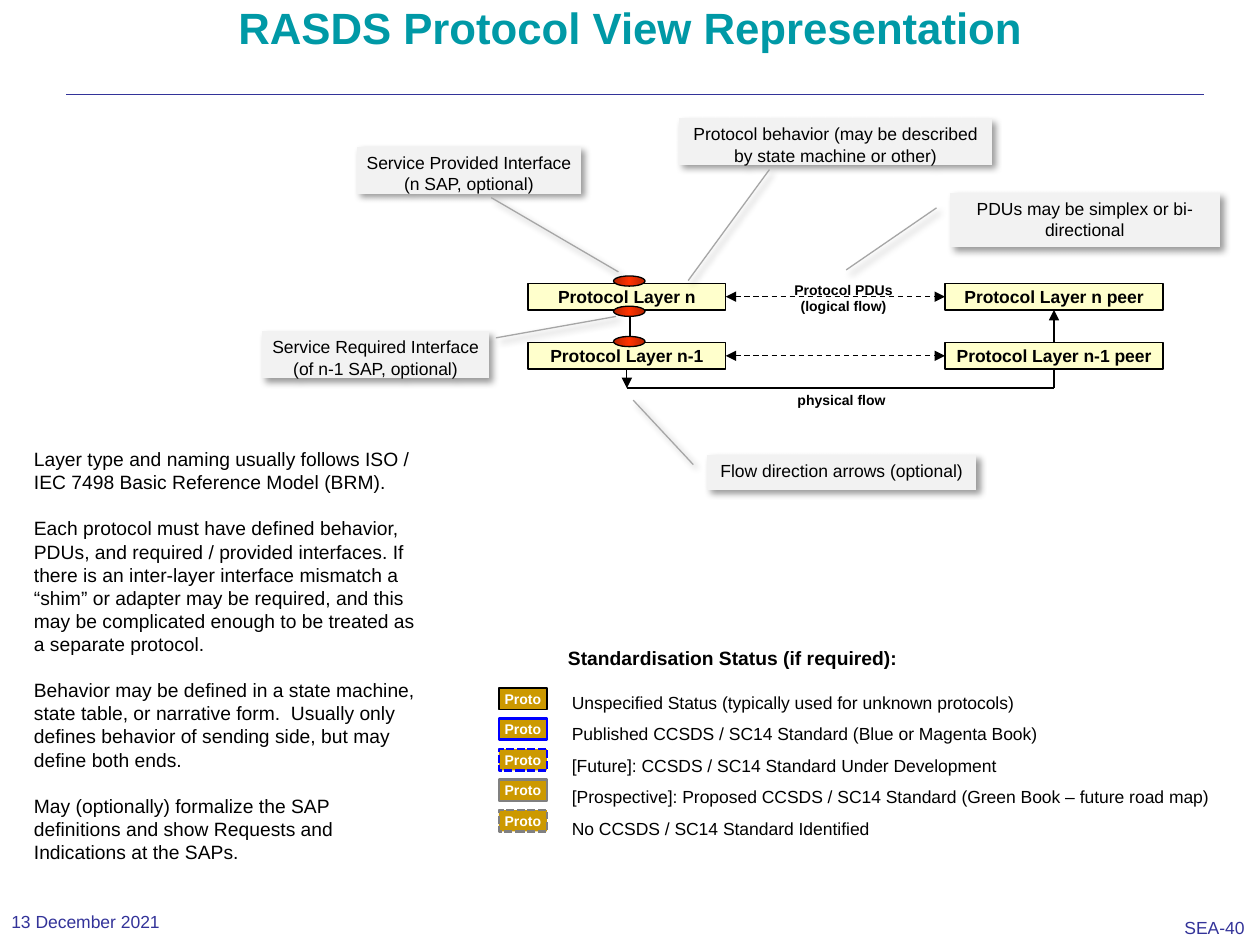
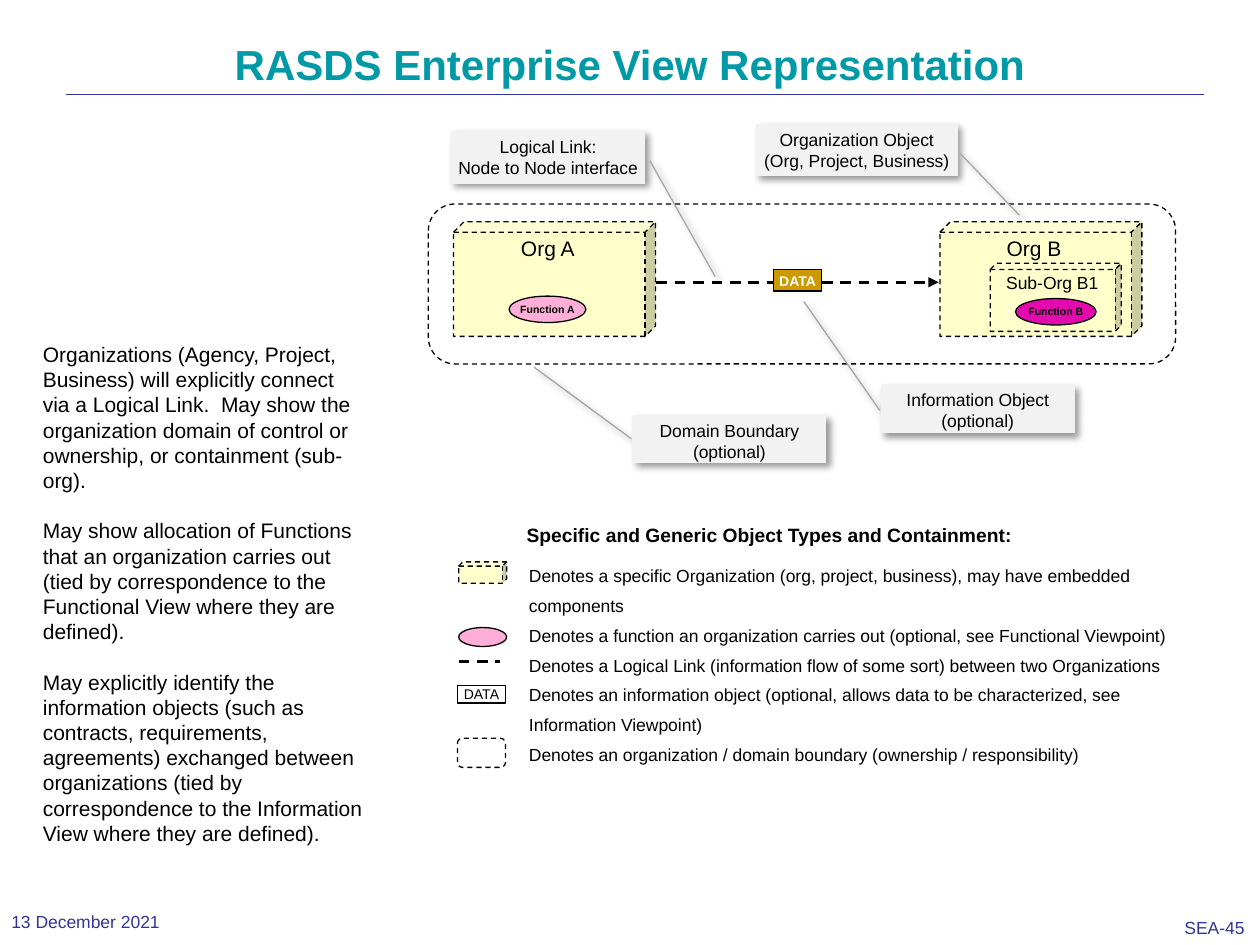
"""Build two slides on the RASDS protocol and enterprise views."""
from copy import deepcopy

from lxml.etree import SubElement
from pptx import Presentation
from pptx.dml.color import RGBColor
from pptx.enum.dml import MSO_LINE as DASH
from pptx.enum.shapes import MSO_CONNECTOR, MSO_SHAPE as SHAPE
from pptx.enum.text import MSO_ANCHOR as ANCHOR, MSO_AUTO_SIZE as AUTO, PP_ALIGN as ALIGN
from pptx.oxml.ns import qn
from pptx.util import Pt

FONT = "Arial"
COLORS = {
    "title": "0099A6", "footer": "333399", "black": "000000", "white": "FFFFFF",
    "cream": "FFFFCC", "gold": "CC9900", "blue": "0000FF", "gray": "808080",
    "note": "F2F2F2", "pointer": "A6A6A6", "red": "FF3300", "dark_red": "B62400",
    "pink": "FFAED7", "magenta": "E30BAD",
}
TAG_SIZE = (27.4, 12.2)
DATE = "13 December 2021"


def color(name):
    return RGBColor.from_string(COLORS[name])


def points(values):
    return [Pt(value) for value in values]


def write(shape, text, size, ink="black", bold=False, align=ALIGN.LEFT,
          spacing=None, gap=0, anchor=ANCHOR.TOP, insets=(7.2, 3.6),
          wrap=True, grow=False):
    frame = shape.text_frame
    frame.text = text
    frame.word_wrap = wrap
    frame.auto_size = AUTO.SHAPE_TO_FIT_TEXT if grow else AUTO.NONE
    frame.vertical_anchor = anchor
    frame.margin_left = frame.margin_right = Pt(insets[0])
    frame.margin_top = frame.margin_bottom = Pt(insets[1])
    for index, paragraph in enumerate(frame.paragraphs):
        paragraph.alignment = align
        paragraph.space_before = Pt(gap if index else 0)
        if spacing:
            paragraph.line_spacing = spacing
        for run in paragraph.runs:
            run.font.name = FONT
            run.font.size = Pt(size)
            run.font.bold = bold
            run.font.color.rgb = color(ink)


def add_label(slide, box, text, size, wrap=False, grow=True, **style):
    label = slide.shapes.add_textbox(*points(box))
    write(label, text, size, wrap=wrap, grow=grow, **style)


def style_line(line, ink="black", width=0.75, dash=None):
    line.color.rgb = color(ink)
    line.width = Pt(width)
    if dash:
        line.dash_style = dash


def add_figure(slide, kind, box, fill=None, ink="black", width=0.75, dash=None, adjust=()):
    shape = slide.shapes.add_shape(kind, *points(box))
    shape.shadow.inherit = False
    if fill:
        shape.fill.solid()
        shape.fill.fore_color.rgb = color(fill)
    else:
        shape.fill.background()
    style_line(shape.line, ink, width, dash)
    for index, value in enumerate(adjust):
        shape.adjustments[index] = value
    return shape


def add_tag(slide, left, top, text, **outline):
    tag = add_figure(slide, SHAPE.RECTANGLE, (left, top, *TAG_SIZE), "gold", **outline)
    write(tag, text, 8, "white", True, ALIGN.CENTER, insets=(1.4, 1.4), grow=True)


def add_layer(slide, left, top, width, text):
    layer = add_figure(slide, SHAPE.RECTANGLE, (left, top, width, 15.1), "cream")
    write(layer, text, 10, bold=True, align=ALIGN.CENTER, insets=(1.4, 1.4), grow=True)
    return layer


def add_cube(slide, box, depth=0.091):
    add_figure(slide, SHAPE.CUBE, box, "cream", dash=DASH.DASH, adjust=[depth])


def add_function(slide, box, fill, text=""):
    function = add_figure(slide, SHAPE.OVAL, box, fill)
    if text:
        write(function, text, 6, bold=True, align=ALIGN.CENTER,
              anchor=ANCHOR.MIDDLE, wrap=False)


def add_access_point(slide, left, top):
    oval = add_figure(slide, SHAPE.OVAL, (left, top, 18, 5.8))
    fill = oval.fill
    fill.gradient()
    fill.gradient_angle = 0
    stop_list = oval.element.spPr.find(".//" + qn("a:gsLst"))
    stop_list.append(deepcopy(stop_list[0]))
    stops = zip(fill.gradient_stops, (0, 0.5, 1), ("dark_red", "red", "dark_red"))
    for stop, position, shade in stops:
        stop.position = position
        stop.color.rgb = color(shade)


def add_callout(slide, box, text, pointer):
    callout = add_figure(slide, SHAPE.LINE_CALLOUT_1_NO_BORDER, box, "note", "pointer",
                         adjust=pointer)
    properties = callout.element.spPr
    properties.find(qn("a:xfrm")).set("flipH", "1")
    shadow = SubElement(properties.find(qn("a:effectLst")), qn("a:outerShdw"),
                        blurRad=str(Pt(4)), dist=str(Pt(3)), dir="2700000",
                        algn="tl", rotWithShape="0")
    shade = SubElement(shadow, qn("a:srgbClr"), val=COLORS["black"])
    SubElement(shade, qn("a:alpha"), val="40000")
    write(callout, text, 10, align=ALIGN.CENTER, insets=(2.9, 2.9))


def add_line(slide, start, end, ink="black", width=0.75, dash=None, head=False, tail=False):
    line = slide.shapes.add_connector(MSO_CONNECTOR.STRAIGHT, *points((*start, *end)))
    style_line(line.line, ink, width, dash)
    outline = line.line._get_or_add_ln()
    for name, wanted in (("a:headEnd", head), ("a:tailEnd", tail)):
        if wanted:
            SubElement(outline, qn(name), type="triangle")
    SubElement(line.element.spPr, qn("a:effectLst"))
    return line


def place(shape, box):
    shape.left, shape.top, shape.width, shape.height = points(box)


def add_slide(presentation, title, title_top, title_size, number):
    slide = presentation.slides.add_slide(presentation.slide_layouts[1])
    place(slide.shapes.title, (36, title_top, 648, 90))
    write(slide.shapes.title, title, title_size, "title", True, ALIGN.CENTER, spacing=0.9)
    add_line(slide, (38, 54), (688, 54), "footer", 0.13)
    add_label(slide, (670.3, 521.3, 49, 18.7), number, 10, ink="footer", insets=(6.5, 2.9))
    add_label(slide, (0, 516.2, 136, 20.9), DATE, 10, ink="footer", grow=False,
              anchor=ANCHOR.MIDDLE, insets=(6.5, 3.6))
    return slide


def fill_body(slide, box, paragraphs, size):
    body = slide.placeholders[1]
    place(body, box)
    body.text_frame.text = "\n".join(paragraphs)
    write(body, body.text_frame.text, size, gap=size * 1.2)
    for paragraph in body.text_frame.paragraphs:
        properties = paragraph._p.get_or_add_pPr()
        properties.set("marL", "0")
        properties.set("indent", "0")
        SubElement(properties, qn("a:buNone"))


def build_protocol_slide(presentation):
    slide = add_slide(presentation, "RASDS Protocol View Representation", 0, 25, "SEA-40")
    fill_body(slide, (12.2, 252, 235.4, 260.6), [
        "Layer type and naming usually follows ISO / IEC 7498 Basic Reference Model (BRM).",
        "Each protocol must have defined behavior, PDUs, and required / provided interfaces. "
        "If there is an inter-layer interface mismatch a “shim” or adapter may be required, "
        "and this may be complicated enough to be treated as a separate protocol.",
        "Behavior may be defined in a state machine, state table, or narrative form.  "
        "Usually only defines behavior of sending side, but may define both ends.",
        "May (optionally) formalize the SAP definitions and show Requests and Indications "
        "at the SAPs.",
    ], 11)

    layer_n = add_layer(slide, 301.7, 162, 113, "Protocol Layer n")
    peer_n = add_layer(slide, 540, 162, 124.6, "Protocol Layer n peer")
    flow_y = 221.8
    rise = add_line(slide, (602.3, flow_y), (602.3, 177.1), tail=True)
    rise.end_connect(peer_n, 2)
    lower = add_layer(slide, 301.7, 195.8, 113, "Protocol Layer n-1")
    lower_peer = add_layer(slide, 540, 195.8, 124.6, "Protocol Layer n-1 peer")
    for layer, peer in ((layer_n, peer_n), (lower, lower_peer)):
        flow = add_line(slide, (414.7, 169.6), (540, 169.6), dash=DASH.DASH,
                        head=True, tail=True)
        flow.begin_connect(layer, 3)
        flow.end_connect(peer, 1)
    drop = add_line(slide, (358.2, flow_y), (358.2, 210.9), head=True)
    drop.end_connect(lower, 2)
    add_line(slide, (358.2, flow_y), (602.3, flow_y))
    add_line(slide, (360, 180.7), (360, 192.2))
    for index in range(3):
        add_access_point(slide, 350.6, 157.7 + 17.28 * index)
    add_label(slide, (453.6, 160.6, 56.9, 19.4), "Protocol PDUs\n(logical flow)", 8,
              bold=True, align=ALIGN.CENTER, insets=(0, 0))
    add_label(slide, (448.6, 220.3, 65.5, 17.3), "physical flow", 8, bold=True)

    callouts = [
        ((542.9, 110.2, 154.1, 31), "PDUs may be simplex or bi-directional",
         (0.277, 1.05, 1.421, 1.385)),
        ((388.1, 67.7, 178.6, 26.6),
         "Protocol behavior (may be described by state machine or other)",
         (1.1, 0.711, 3.485, 0.971)),
        ((203.8, 84.2, 128.2, 26.6), "Service Provided Interface (n SAP, optional)",
         (1.083, 0.4, 2.679, -0.167)),
        ((149.8, 189.4, 129.6, 26.6), "Service Required Interface (of n-1 SAP, optional)",
         (0.139, -0.031, -0.323, -0.561)),
        ((403.9, 259.9, 154.1, 20.2), "Flow direction arrows (optional)",
         (0.277, 1.05, -1.548, 1.273)),
    ]
    for callout in callouts:
        add_callout(slide, *callout)

    add_label(slide, (317.5, 365.8, 203.8, 20.9), "Standardisation Status (if required):", 11,
              bold=True)
    statuses = [
        ("Unspecified Status (typically used for unknown protocols)", "black", 0.75, None),
        ("Published CCSDS / SC14 Standard (Blue or Magenta Book)", "blue", 1.5, None),
        ("[Future]: CCSDS / SC14 Standard Under Development", "blue", 1.5, DASH.SQUARE_DOT),
        ("[Prospective]: Proposed CCSDS / SC14 Standard (Green Book – future road map)",
         "gray", 1.5, None),
        ("No CCSDS / SC14 Standard Identified", "gray", 1.5, DASH.SQUARE_DOT),
    ]
    for index, (_, ink, width, dash) in enumerate(statuses):
        add_tag(slide, 285.1, 393.1 + 17.46 * index, "Proto", ink=ink, width=width, dash=dash)
    add_label(slide, (319.7, 385.9, 380.9, 95.8), "\n".join(row[0] for row in statuses), 10,
              spacing=Pt(18))


def build_enterprise_slide(presentation):
    slide = add_slide(presentation, "RASDS Enterprise View Representation", 21.6, 24, "SEA-45")
    fill_body(slide, (17.3, 191.5, 199.4, 312.5), [
        "Organizations (Agency, Project, Business) will explicitly connect via a Logical Link.  "
        "May show the organization domain of control or ownership, or containment (sub-org).",
        "May show allocation of Functions that an organization carries out (tied by "
        "correspondence to the Functional View where they are defined).",
        "May explicitly identify the information objects (such as contracts, requirements, "
        "agreements) exchanged between organizations (tied by correspondence to the "
        "Information View where they are defined).",
    ], 12)

    for left, name in ((259.2, "Org A"), (537.1, "Org B")):
        add_cube(slide, (left, 126.7, 115.4, 65.5))
        add_label(slide, (left + 31, 131, 45.6, 21.6), name, 12, align=ALIGN.CENTER)
    add_line(slide, (375.1, 161.3), (536.4, 161.3), width=1.5, dash=DASH.DASH, tail=True)
    add_tag(slide, 442.1, 154.1, "DATA")
    add_cube(slide, (565.9, 150.5, 74.9, 38.9))
    add_label(slide, (567.4, 151.9, 67.7, 19.4), "Sub-Org B1", 10, align=ALIGN.CENTER)
    add_function(slide, (290.9, 169.2, 43.9, 15.1), "pink", "Function A")
    add_function(slide, (580.3, 170.6, 46.1, 15.1), "magenta", "Function B")
    add_figure(slide, SHAPE.ROUNDED_RECTANGLE, (244.8, 116.6, 427, 91.4), dash=DASH.DASH)

    callouts = [
        ((257.8, 74.9, 110.9, 30.2), "Logical Link:\nNode to Node interface",
         (0.563, -0.025, 2.754, -0.361)),
        ((361.4, 236.9, 110.9, 27.4), "Domain Boundary\n(optional)",
         (0.506, 1.005, -0.987, 1.506)),
        ((432, 70.6, 115.2, 30.2), "Organization Object\n(Org, Project, Business)",
         (0.569, -0.014, 1.734, -0.307)),
        ((503.3, 219.6, 110.9, 28.1), "Information Object\n(optional)",
         (0.529, 1.005, -1.685, 1.396)),
    ]
    for callout in callouts:
        add_callout(slide, *callout)

    add_label(slide, (293.8, 295.2, 294.5, 20.9),
              "Specific and Generic Object Types and Containment:", 11, bold=True)
    add_label(slide, (295.2, 314.6, 400.3, 125.3), "\n".join([
        "Denotes a specific Organization (org, project, business), may have embedded components",
        "Denotes a function an organization carries out (optional, see Functional Viewpoint)",
        "Denotes a Logical Link (information flow of some sort) between two Organizations",
        "Denotes an information object (optional, allows data to be characterized, see "
        "Information Viewpoint)",
        "Denotes an organization / domain boundary (ownership / responsibility)",
    ]), 10, wrap=True, spacing=Pt(17))
    add_cube(slide, (262.1, 321.1, *TAG_SIZE), 0.199)
    add_function(slide, (262.1, 358.6, 27.4, 10.8), "pink")
    add_line(slide, (262.1, 378), (285.8, 378), width=1.5, dash=DASH.DASH)
    data = add_figure(slide, SHAPE.RECTANGLE, (261.4, 391.7, 27.4, 10.1), "white")
    write(data, "DATA", 8, align=ALIGN.CENTER, anchor=ANCHOR.MIDDLE, insets=(0, 3.6))
    add_figure(slide, SHAPE.ROUNDED_RECTANGLE, (261.4, 421.9, 27.4, 16.6), "white",
               dash=DASH.DASH)


def main():
    presentation = Presentation()
    presentation.slide_width, presentation.slide_height = Pt(720), Pt(540)
    build_protocol_slide(presentation)
    build_enterprise_slide(presentation)
    presentation.save("out.pptx")


if __name__ == "__main__":
    main()
